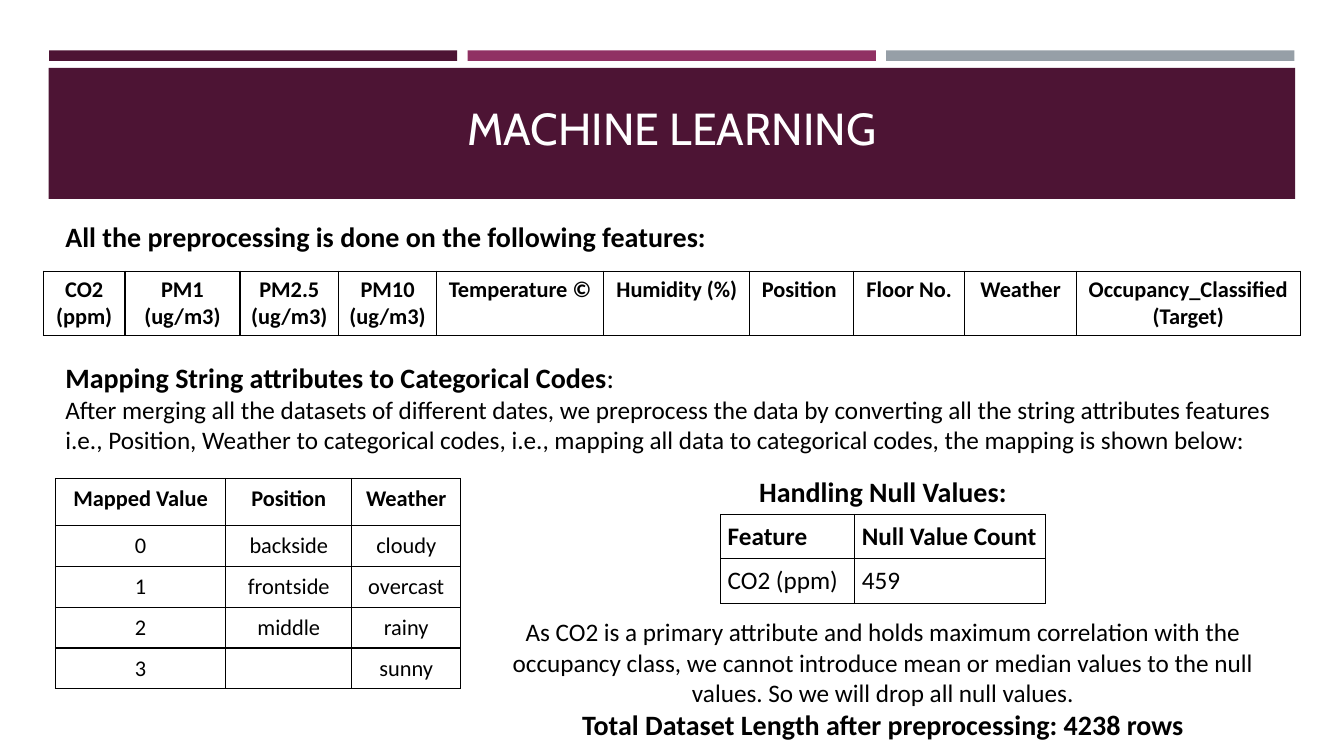
from pptx import Presentation
from pptx.dml.color import RGBColor
from pptx.enum.shapes import MSO_SHAPE
from pptx.enum.text import MSO_ANCHOR, PP_ALIGN
from pptx.oxml import parse_xml
from pptx.util import Pt

RECT = MSO_SHAPE.RECTANGLE
LEFT, CENTER = PP_ALIGN.LEFT, PP_ALIGN.CENTER
TOP, MIDDLE, BOTTOM = MSO_ANCHOR.TOP, MSO_ANCHOR.MIDDLE, MSO_ANCHOR.BOTTOM
NS = "http://schemas.openxmlformats.org/drawingml/2006/main"
PLUM, BLACK, WHITE = "4D1434", "000000", "FFFFFF"


def write(frame, paras, align, color=BLACK, face="Calibri"):
    """Fill a text frame; each paragraph is a list of (text, size, bold)."""
    for i, runs in enumerate(paras):
        para = frame.paragraphs[0] if i == 0 else frame.add_paragraph()
        para.alignment = align
        for text, size, bold in runs:
            run = para.add_run()
            run.text = text
            font = run.font
            font.size, font.bold, font.name = Pt(size), bold, face
            font.color.rgb = RGBColor.from_string(color)


def grid(place, widths, heights, rows, size, align, inset=None):
    """Draw a bordered table whose first row is bold."""
    x, y = place
    shape = slide.shapes.add_table(len(rows), len(widths), Pt(x), Pt(y),
                                   Pt(sum(widths)), Pt(sum(heights)))
    table = shape.table
    table.horz_banding = False
    for col, width in zip(table.columns, widths):
        col.width = Pt(width)
    for r, row in enumerate(rows):
        table.rows[r].height = Pt(heights[r])
        for c, text in enumerate(row):
            cell = table.cell(r, c)
            props = cell._tc.get_or_add_tcPr()
            for side in ("lnL", "lnR", "lnT", "lnB"):
                props.append(parse_xml(
                    f'<a:{side} xmlns:a="{NS}" w="12700"><a:solidFill>'
                    f'<a:srgbClr val="{BLACK}"/></a:solidFill></a:{side}>'))
            cell.fill.background()
            if not text:
                continue
            if inset:
                cell.margin_left = cell.margin_right = Pt(inset)
                cell.margin_top = cell.margin_bottom = Pt(inset)
            lines = [[(line, size, r == 0)] for line in text.split("\n")]
            write(cell.text_frame, lines, align)


prs = Presentation()
prs.slide_width, prs.slide_height = Pt(960), Pt(540)
slide = prs.slides.add_slide(prs.slide_layouts[5])

# Header bars and band
bars = [(35 + 299 * i, 36, 291.6, 7.5, color)
        for i, color in enumerate((PLUM, "903163", "969FA7"))]
for x, y, w, h, color in bars + [(34.8, 48.5, 890.4, 93.6, PLUM)]:
    bar = slide.shapes.add_shape(RECT, Pt(x), Pt(y), Pt(w), Pt(h))
    bar.shadow.inherit = False
    bar.fill.solid()
    bar.fill.fore_color.rgb = RGBColor.from_string(color)
    bar.line.fill.background()

title = slide.shapes.title
title.left, title.top, title.width, title.height = Pt(39.6), Pt(73.4), Pt(880.6), Pt(40.3)
title.text_frame.vertical_anchor = BOTTOM
write(title.text_frame, [[("MACHINE LEARNING", 32, False)]], CENTER, WHITE, "Cabin")
# Keep the title above the band
slide.shapes._spTree.append(title._element)

# Text blocks
blocks = [
    ((39.6, 153.4, 880.6, 31.5), LEFT, TOP,
     [[("All the preprocessing is done on the following features:", 20, True)]]),
    ((39.6, 254.2, 880.6, 75), LEFT, TOP,
     [[("Mapping String attributes to Categorical Codes", 20, True), (":", 20, False)],
      [("After merging all the datasets of different dates, we preprocess the data by "
        "converting all the string attributes features i.e., Position, Weather to "
        "categorical codes, i.e., mapping all data to categorical codes, the mapping "
        "is shown below:", 18, False)]]),
    ((338.4, 436.3, 584.6, 97.2), CENTER, MIDDLE,
     [[("As CO2 is a primary attribute and holds maximum correlation with the occupancy "
        "class, we cannot introduce mean or median values to the null values. So we "
        "will drop all null values.", 18, False)],
      [("Total Dataset Length after preprocessing: 4238 rows", 20, True)]]),
    ((514.8, 335.5, 231.8, 31.5), CENTER, TOP,
     [[("Handling Null Values:", 20, True)]]),
]
for place, align, anchor, paras in blocks:
    box = slide.shapes.add_textbox(*map(Pt, place))
    box.text_frame.word_wrap = True
    box.text_frame.vertical_anchor = anchor
    write(box.text_frame, paras, align)

# Tables
grid((31, 193.7), [58.3, 82.1, 70.6, 69.8, 119.5, 104.4, 74.2, 79.2, 79.9, 159.8], [45.8],
     [["CO2 (ppm)", "PM1 (ug/m3)", "PM2.5 (ug/m3)", "PM10 (ug/m3)", "Temperature ©",
       "Humidity (%)", "Position ", "Floor No.", "Weather",
       "Occupancy_Classified\n(Target)"]], 16, CENTER)
grid((39.6, 341.8), [121.7, 90, 77.8], [33.5] + [29.2] * 4,
     [["Mapped Value", "Position", "Weather"],
      ["0", "backside", "cloudy"],
      ["1", "frontside", "overcast"],
      ["2", "middle", "rainy"],
      ["3", "", "sunny"]], 16, CENTER, 5)
grid((514.8, 367.5), [95.8, 136.1], [31.7] * 2,
     [["Feature", "Null Value Count"], ["CO2 (ppm)", "459"]], 18, LEFT, 5)

prs.save("out.pptx")
